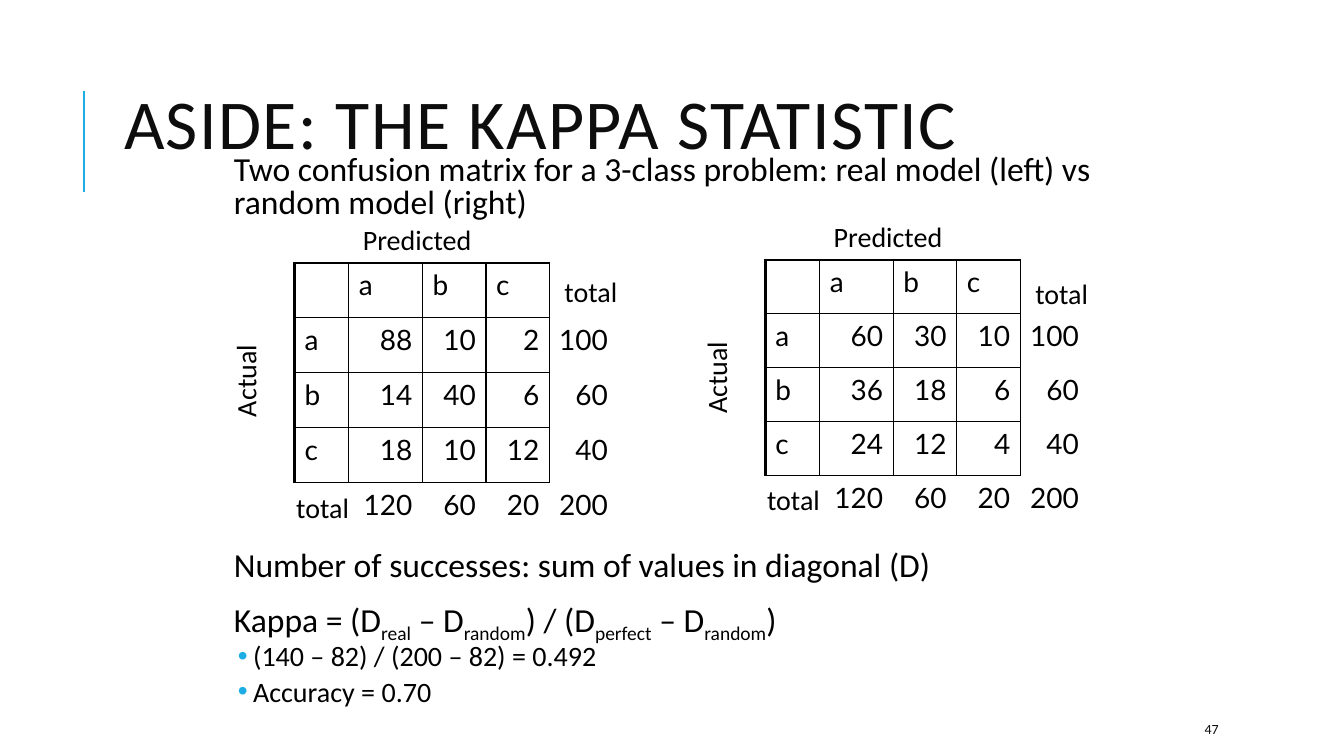
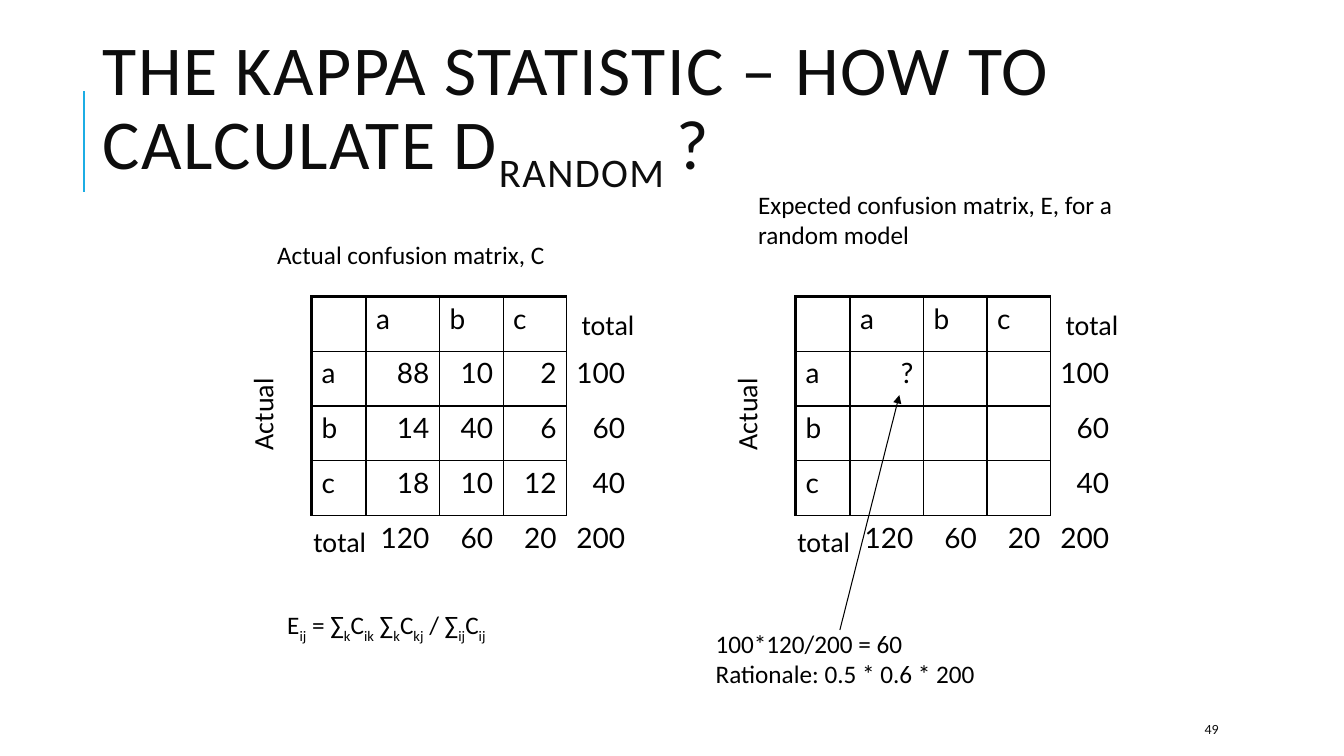
from pptx import Presentation
from pptx.dml.color import RGBColor
from pptx.enum.shapes import MSO_CONNECTOR as Connector
from pptx.enum.text import MSO_ANCHOR as Anchor, MSO_AUTO_SIZE as AutoSize, PP_ALIGN as Align
from pptx.oxml.ns import qn
from pptx.util import Pt
from lxml.etree import SubElement

# Shared look; lengths are px, 100 to the inch
PX = 9144
BLACK, TITLE_INK, ACCENT = "000000", "0D0D0D", "1CADE4"
BODY_FONT, TABLE_FONT = "Calibri", "Lato"

# Confusion matrices
CLASSES = ["a", "b", "c"]
ROW_TOTALS = ["100", "60", "40"]
COLUMN_TOTALS = ["120", "60", "20", "200"]
REAL = [["88", "10", "2"], ["14", "40", "6"], ["18", "10", "12"]]
RANDOM = [["60", "30", "10"], ["36", "18", "6"], ["24", "12", "4"]]
UNKNOWN = [["?", "", ""], ["", "", ""], ["", "", ""]]
COLUMN_WIDTHS = [54, 73, 63, 63, 63]
THIN, THICK = 1, 2.25


def px(*lengths):
    return [round(length * PX) for length in lengths]


def color(hex_code):
    return RGBColor.from_string(hex_code)


def write(paragraph, text, size=20, font=BODY_FONT, ink=BLACK, align=Align.LEFT,
          line=None, before=0, after=0, tracking=0, bullet=False):
    """Fill a paragraph; every second part between bars is a subscript."""
    paragraph.alignment = align
    paragraph.line_spacing = line
    paragraph.space_before, paragraph.space_after = Pt(before), Pt(after)
    for index, part in enumerate(text.split("|")):
        if not part:
            continue
        run = paragraph.add_run()
        run.text = part
        run.font.name, run.font.size = font, Pt(size)
        run.font.color.rgb = color(ink)
        if tracking:
            run.font._element.set("spc", str(tracking * 100))
        if index % 2:
            run.font._element.set("baseline", "-25000")
    if bullet:
        add_bullet(paragraph)


def add_bullet(paragraph):
    properties = paragraph._p.get_or_add_pPr()
    left, hanging = px(19, -15)
    properties.set("marL", str(left))
    properties.set("indent", str(hanging))
    bullet_color = SubElement(properties, qn("a:buClr"))
    SubElement(bullet_color, qn("a:srgbClr"), val=ACCENT)
    SubElement(properties, qn("a:buFont"), typeface="Arial")
    SubElement(properties, qn("a:buChar"), char="•")


def add_text(slide, box, paragraphs, wrap=False, insets=None, anchor=Anchor.TOP,
             rotation=0, **text_format):
    """Add a text box; a paragraph is a text or a (text, format) pair."""
    shape = slide.shapes.add_textbox(*px(*box))
    shape.rotation = rotation
    frame = shape.text_frame
    frame.word_wrap, frame.vertical_anchor = wrap, anchor
    frame.auto_size = AutoSize.NONE if wrap else AutoSize.SHAPE_TO_FIT_TEXT
    if insets:
        (frame.margin_left, frame.margin_top,
         frame.margin_right, frame.margin_bottom) = px(*insets)
    for index, entry in enumerate(paragraphs):
        text, own_format = (entry, {}) if isinstance(entry, str) else entry
        paragraph = frame.add_paragraph() if index else frame.paragraphs[0]
        write(paragraph, text, **{**text_format, **own_format})


def add_line(slide, start, end, ink, width, arrow=False):
    line = slide.shapes.add_connector(Connector.STRAIGHT, *px(*start, *end))
    line.line.color.rgb = color(ink)
    line.line.width = Pt(width)
    if arrow:
        SubElement(line.line._get_or_add_ln(), qn("a:tailEnd"), type="triangle")
    SubElement(line._element.spPr, qn("a:effectLst"))


def add_slide(presentation, title, title_box, number):
    """Add a slide with its title, accent line and number."""
    slide = presentation.slides.add_slide(presentation.slide_layouts[5])
    shape = slide.shapes.title
    shape.left, shape.top, shape.width, shape.height = px(*title_box)
    frame = shape.text_frame
    frame.word_wrap, frame.auto_size = True, AutoSize.NONE
    frame.vertical_anchor = Anchor.MIDDLE
    write(frame.paragraphs[0], title, size=50, ink=TITLE_INK, line=0.8, tracking=1)
    add_line(slide, (83, 190), (83, 90), ACCENT, 1.5)
    add_text(slide, (1185, 708, 106, 30), [number], wrap=True, anchor=Anchor.MIDDLE,
             size=10, ink=TITLE_INK)
    return slide


def set_borders(cell, row, column):
    """Rule the class block; leave the totals outside it open."""
    in_rows, in_columns = row < 4, column < 4
    inside = in_rows and in_columns
    widths = {
        "a:lnL": in_rows and (THIN if column else THICK),
        "a:lnR": inside and THIN,
        "a:lnT": in_columns and (THIN if row else THICK),
        "a:lnB": inside and THIN,
    }
    properties = cell._tc.get_or_add_tcPr()
    for tag, width in widths.items():
        border = SubElement(properties, qn(tag), w=str(Pt(width or 0)))
        if width:
            fill = SubElement(border, qn("a:solidFill"))
            SubElement(fill, qn("a:srgbClr"), val=BLACK)
        else:
            SubElement(border, qn("a:noFill"))


def add_matrix(slide, left, top, counts, height=272, total_top=6, predicted=False):
    """Add a confusion matrix with its totals and axis labels."""
    rows = [["", *CLASSES, ""]]
    rows += [[name, *values, total]
             for name, values, total in zip(CLASSES, counts, ROW_TOTALS)]
    rows.append(["", *COLUMN_TOTALS])
    frame = slide.shapes.add_table(len(rows), len(COLUMN_WIDTHS),
                                   *px(left, top, sum(COLUMN_WIDTHS), height))
    table = frame.table
    table.first_row = table.horz_banding = False
    for column, width in zip(table.columns, px(*COLUMN_WIDTHS)):
        column.width = width
    for row_index, values in enumerate(rows):
        table.rows[row_index].height, = px(height / len(rows))
        for column_index, value in enumerate(values):
            cell = table.cell(row_index, column_index)
            set_borders(cell, row_index, column_index)
            cell.fill.background()
            if column_index == 4:
                cell.margin_left, cell.margin_right = px(5, 5)
            if value:
                is_number = row_index and column_index
                write(cell.text_frame.paragraphs[0], value, font=TABLE_FONT,
                      align=Align.RIGHT if is_number else Align.LEFT)

    # Labels around the table
    add_text(slide, (left - 96, top + 94, 94, 43), ["Actual"], rotation=270)
    add_text(slide, (left - 8, top + height - 51, 73, 44), ["total"])
    add_text(slide, (left + 258, top + total_top, 73, 44), ["total"])
    if predicted:
        add_text(slide, (left + 58, top - 45, 129, 44), ["Predicted"])


def build_kappa_slide(presentation):
    slide = add_slide(presentation, "ASIDE: THE KAPPA STATISTIC",
                      (113, 46, 1063, 164), "47")
    body = dict(wrap=True, insets=(15, 5, 5, 5), size=24, line=0.8, before=12, after=2)
    add_text(slide, (217, 150, 950, 75),
             ["Two confusion matrix for a 3-class problem: "
              "real model (left) vs random model (right)"], **body)
    add_matrix(slide, 292, 261, REAL, predicted=True)
    add_matrix(slide, 759, 258, RANDOM, height=267, total_top=11, predicted=True)
    point = dict(size=20, before=2, after=4, bullet=True)
    add_text(slide, (217, 542, 950, 183),
             ["Number of successes: sum of values in diagonal (D)",
              "Kappa = (D|real| – D|random|) / (D|perfect| – D|random|)",
              ("(140 – 82) / (200 – 82) = 0.492", point),
              ("Accuracy = 0.70", point)], **body)


def build_random_slide(presentation):
    slide = add_slide(presentation,
                      "THE KAPPA STATISTIC – HOW TO CALCULATE D|RANDOM |?",
                      (92, 40, 1162, 145), "49")
    add_matrix(slide, 309, 294, REAL)
    add_matrix(slide, 789, 294, UNKNOWN)

    # Captions, formula and worked example
    add_text(slide, (265, 233, 288, 40), ["Actual confusion matrix, C"], size=18)
    add_text(slide, (742, 183, 392, 71),
             ["Expected confusion matrix, E, for a random model"], wrap=True, size=18)
    add_text(slide, (275, 600, 228, 40),
             ["E|ij| = ∑|k|C|ik| ∑|k|C|kj| / ∑|ij|C|ij|"], size=18)
    add_line(slide, (833, 625), (892, 392), BLACK, 0.75, arrow=True)
    add_text(slide, (700, 618, 280, 71),
             ["100*120/200 = 60", "Rationale: 0.5 * 0.6 * 200"], size=18)


def main():
    presentation = Presentation()
    presentation.slide_width, presentation.slide_height = px(1333, 750)
    build_kappa_slide(presentation)
    build_random_slide(presentation)
    presentation.save("out.pptx")


if __name__ == "__main__":
    main()
